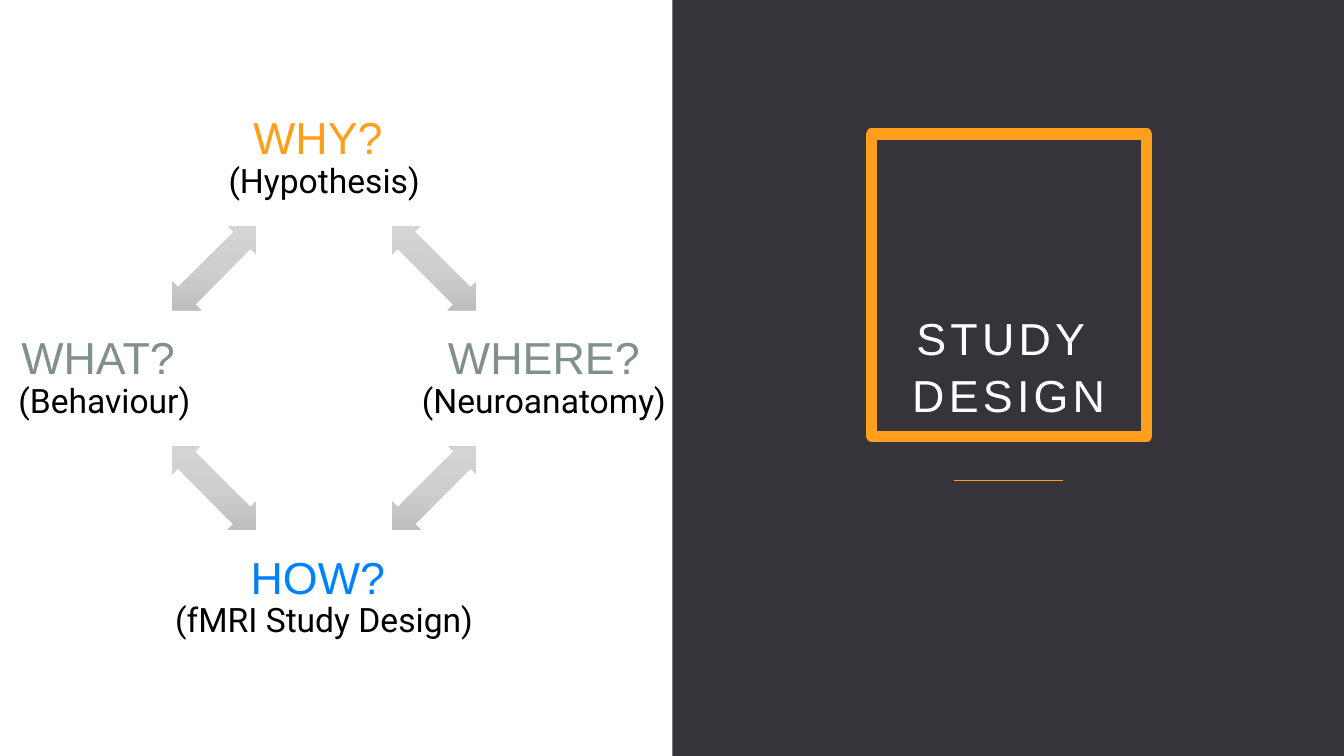
import copy

import lxml.etree
import pptx
import pptx.dml.color
import pptx.enum.shapes
import pptx.enum.text
import pptx.oxml.ns
import pptx.util

Inches = pptx.util.Inches
Pt = pptx.util.Pt
RGBColor = pptx.dml.color.RGBColor
MSO_SHAPE = pptx.enum.shapes.MSO_SHAPE
MSO_ANCHOR = pptx.enum.text.MSO_ANCHOR
PP_ALIGN = pptx.enum.text.PP_ALIGN
qn = pptx.oxml.ns.qn

WHITE = RGBColor(0xFF, 0xFF, 0xFF)
BLACK = RGBColor(0, 0, 0)
ORANGE = RGBColor(0xFF, 0x9F, 0x1B)
SAGE = RGBColor(0x7F, 0x90, 0x8D)
BLUE = RGBColor(0x00, 0x82, 0xFF)
CHARCOAL = RGBColor(0x37, 0x33, 0x3B)
ARROW_GREYS = (RGBColor(0xD6, 0xD6, 0xD6), RGBColor(0xCF, 0xCF, 0xCF),
               RGBColor(0xB8, 0xB8, 0xB8))

# Clockwise from the top: question, topic, colour, box width, direction from the hub.
# The trailing spaces shift the centred questions slightly to the left.
QUESTIONS = (
    ("WHY? ", "(Hypothesis)", ORANGE, 2.19, (0, -1)),
    ("WHERE?", "(Neuroanatomy)", SAGE, 2.79, (1, 0)),
    ("HOW? ", "(fMRI Study Design)", BLUE, 3.36, (0, 1)),
    ("WHAT? ", "(Behaviour)", SAGE, 2.19, (-1, 0)),
)


def style_paragraph(paragraph, font_name, size, color, line_spacing):
    paragraph.alignment = PP_ALIGN.CENTER
    paragraph.line_spacing = line_spacing
    paragraph.font.name = font_name
    paragraph.font.size = Pt(size)
    paragraph.font.color.rgb = color


def add_question(slide, center_x, center_y, width, question, topic, color):
    height = 1.06
    box = slide.shapes.add_textbox(
        Inches(center_x - width / 2), Inches(center_y - height / 2),
        Inches(width), Inches(height))
    frame = box.text_frame
    frame.word_wrap = True
    frame.vertical_anchor = MSO_ANCHOR.MIDDLE
    frame.margin_left = frame.margin_right = Inches(0.13)
    frame.margin_top = frame.margin_bottom = Inches(0.13)
    frame.text = question + "\n" + topic
    style_paragraph(frame.paragraphs[0], "Arial", 32, color, 0.9)
    style_paragraph(frame.paragraphs[1], "Roboto", 24, BLACK, 0.9)


def fill_arrow(arrow):
    """Apply a three-stop gradient that stays vertical when the arrow turns."""
    arrow.fill.gradient()
    arrow.fill.gradient_angle = 270
    gradient = arrow._element.spPr.find(qn("a:gradFill"))
    gradient.set("rotWithShape", "0")
    stop_list = gradient.find(qn("a:gsLst"))
    stop_list.insert(1, copy.deepcopy(stop_list[0]))
    for index, (stop, grey) in enumerate(zip(arrow.fill.gradient_stops, ARROW_GREYS)):
        stop.position = index / 2
        stop.color.rgb = grey


def add_arrow(slide, center_x, center_y, rotation):
    width, height = 1.18, 0.4
    arrow = slide.shapes.add_shape(
        MSO_SHAPE.LEFT_RIGHT_ARROW,
        Inches(center_x - width / 2), Inches(center_y - height / 2),
        Inches(width), Inches(height))
    arrow.adjustments[0] = 0.6
    arrow.adjustments[1] = 0.5
    arrow.rotation = rotation
    arrow.shadow.inherit = False
    arrow.line.fill.background()
    fill_arrow(arrow)


def add_question_cycle(slide, left, top, width, height):
    """Place the questions around a hub, with an arrow between neighbours."""
    radius = 2.18
    hub_x, hub_y = left + width / 2, top + height / 2
    for index, (question, topic, color, box_width, (dx, dy)) in enumerate(QUESTIONS):
        add_question(slide, hub_x + dx * radius, hub_y + dy * radius,
                     box_width, question, topic, color)
        next_dx, next_dy = QUESTIONS[(index + 1) % len(QUESTIONS)][4]
        add_arrow(slide, hub_x + (dx + next_dx) * radius / 2,
                  hub_y + (dy + next_dy) * radius / 2, 45 + 90 * index)


def add_rectangle(slide, left, top, width, height):
    rectangle = slide.shapes.add_shape(
        MSO_SHAPE.RECTANGLE, Inches(left), Inches(top), Inches(width), Inches(height))
    rectangle.shadow.inherit = False
    return rectangle


def place_title(slide, left, top, width, height):
    title = slide.shapes.title
    slide.shapes._spTree.append(title._element)  # bring in front of the panel
    title.left, title.top = Inches(left), Inches(top)
    title.width, title.height = Inches(width), Inches(height)
    frame = title.text_frame
    frame.text = "STUDY \nDESIGN"
    frame.word_wrap = False
    frame.auto_size = pptx.enum.text.MSO_AUTO_SIZE.SHAPE_TO_FIT_TEXT
    frame.vertical_anchor = MSO_ANCHOR.BOTTOM
    for paragraph in frame.paragraphs:
        style_paragraph(paragraph, "Arial", 32, WHITE, 1.05)
        for run in paragraph.runs:
            run._r.get_or_add_rPr().set("spc", "300")


def add_title_panel(slide, left, top, width, height):
    panel = add_rectangle(slide, left, top, width, height)
    panel.fill.solid()
    panel.fill.fore_color.rgb = CHARCOAL
    panel.line.fill.background()

    center_x = left + width / 2
    title_frame = add_rectangle(slide, center_x - 1.36, top + 1.33, 2.73, 3)
    title_frame.fill.background()
    title_frame.line.color.rgb = ORANGE
    title_frame.line.width = Pt(8)

    place_title(slide, center_x - 1.07, top + 3.05, 2.14, 1.18)

    rule_y = Inches(top + 4.77)
    rule = slide.shapes.add_connector(
        pptx.enum.shapes.MSO_CONNECTOR.STRAIGHT,
        Inches(center_x - 0.54), rule_y, Inches(center_x + 0.54), rule_y)
    rule.line.color.rgb = ORANGE
    rule.line.width = Pt(0.5)
    lxml.etree.SubElement(rule._element.spPr, qn("a:effectLst"))


def main():
    presentation = pptx.Presentation()
    presentation.slide_width = Inches(13.33)
    presentation.slide_height = Inches(7.5)
    slide = presentation.slides.add_slide(presentation.slide_layouts[5])
    add_question_cycle(slide, -0.05, 0, 6.53, 7.5)
    add_title_panel(slide, 6.67, 0, 6.67, 7.5)
    presentation.save("out.pptx")


if __name__ == "__main__":
    main()
